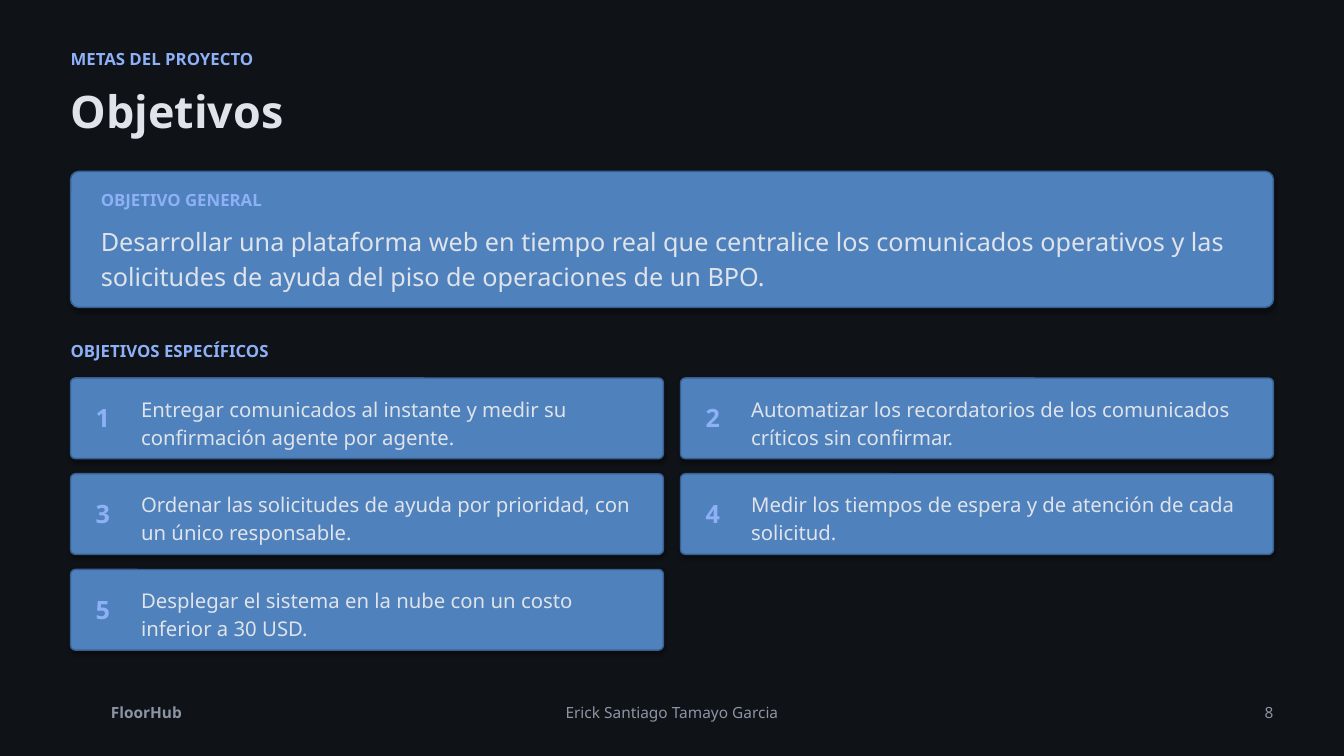
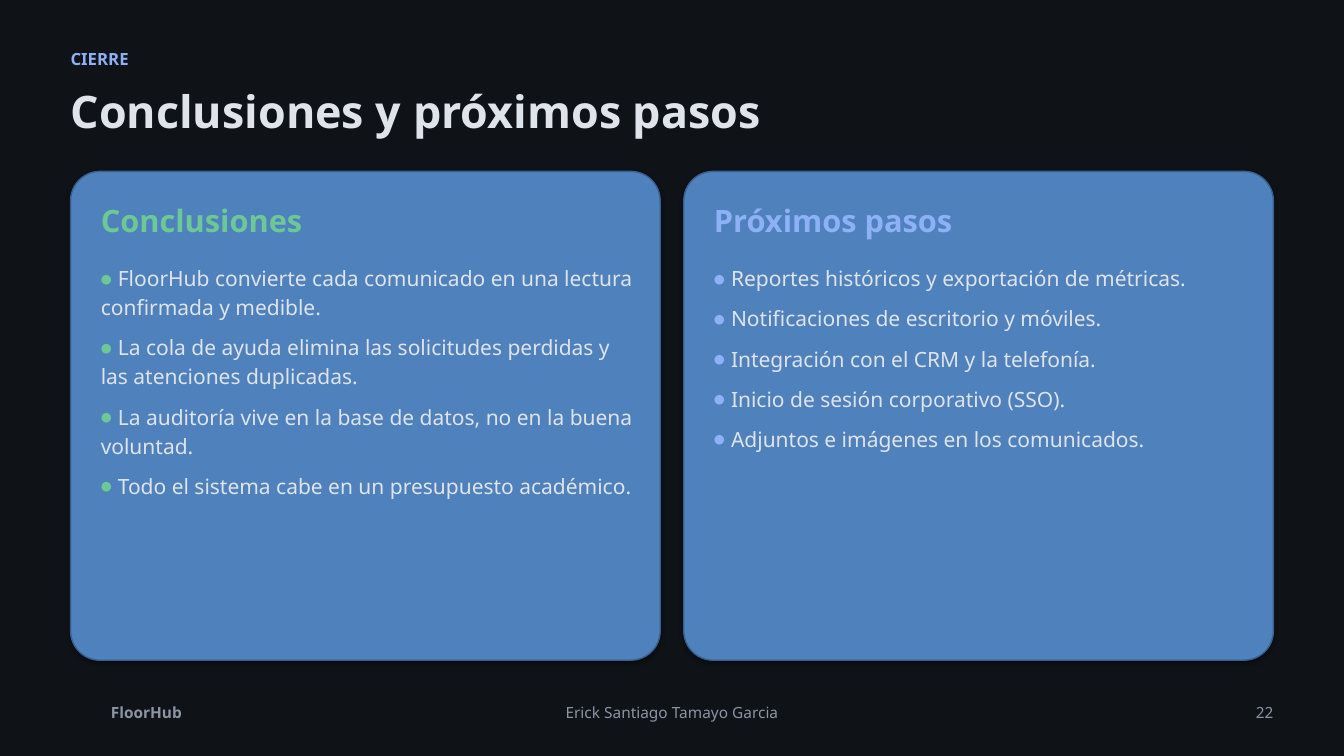
from lxml import etree
from pptx import Presentation
from pptx.dml.color import RGBColor
from pptx.enum.shapes import MSO_SHAPE
from pptx.enum.text import MSO_ANCHOR, MSO_AUTO_SIZE, PP_ALIGN
from pptx.oxml.ns import qn
from pptx.util import Pt

BACKGROUND = RGBColor(0x0F, 0x12, 0x17)
CARD = RGBColor(0x4F, 0x81, 0xBD)
CARD_EDGE = RGBColor(0x37, 0x60, 0x92)
ACCENT = RGBColor(0x8D, 0xB0, 0xF7)
GREEN = RGBColor(0x6C, 0xC9, 0x95)
LIGHT = RGBColor(0xDF, 0xE3, 0xEA)
MUTED = RGBColor(0x8C, 0x95, 0xA4)
FONT = "Noto Sans"

# Lengths in points
WIDTH, HEIGHT = 960, 540
MARGIN = 50.4
CONTENT = WIDTH - 2 * MARGIN
CONTENT_TOP = 122.4
PADDING = 21.6
FOOTER_TOP = 500.4

PROJECT = "FloorHub"
AUTHOR = "Erick Santiago Tamayo Garcia"

OBJECTIVES = {
    "section": "METAS DEL PROYECTO",
    "title": "Objetivos",
    "number": 8,
    "general_label": "OBJETIVO GENERAL",
    "general": "Desarrollar una plataforma web en tiempo real que centralice los "
               "comunicados operativos y las solicitudes de ayuda del piso de "
               "operaciones de un BPO.",
    "specific_label": "OBJETIVOS ESPECÍFICOS",
    "specific": [
        "Entregar comunicados al instante y medir su confirmación agente por agente.",
        "Automatizar los recordatorios de los comunicados críticos sin confirmar.",
        "Ordenar las solicitudes de ayuda por prioridad, con un único responsable.",
        "Medir los tiempos de espera y de atención de cada solicitud.",
        "Desplegar el sistema en la nube con un costo inferior a 30 USD.",
    ],
}

CLOSING = {
    "section": "CIERRE",
    "title": "Conclusiones y próximos pasos",
    "number": 22,
    "panels": [
        ("Conclusiones", GREEN, [
            "FloorHub convierte cada comunicado en una lectura confirmada y medible.",
            "La cola de ayuda elimina las solicitudes perdidas y las atenciones duplicadas.",
            "La auditoría vive en la base de datos, no en la buena voluntad.",
            "Todo el sistema cabe en un presupuesto académico.",
        ]),
        ("Próximos pasos", ACCENT, [
            "Reportes históricos y exportación de métricas.",
            "Notificaciones de escritorio y móviles.",
            "Integración con el CRM y la telefonía.",
            "Inicio de sesión corporativo (SSO).",
            "Adjuntos e imágenes en los comunicados.",
        ]),
    ],
}


def add_bullet(para, color):
    """Give the paragraph a small coloured dot, with the text after a tab stop."""
    properties = para._p.get_or_add_pPr()
    properties.set("marL", "0")
    properties.set("indent", "0")
    bullet_color = etree.SubElement(properties, qn("a:buClr"))
    etree.SubElement(bullet_color, qn("a:srgbClr"), val=str(color))
    etree.SubElement(properties, qn("a:buSzPct"), val="60000")
    etree.SubElement(properties, qn("a:buFont"), typeface=FONT)
    etree.SubElement(properties, qn("a:buChar"), char="●")
    tabs = etree.SubElement(properties, qn("a:tabLst"))
    etree.SubElement(tabs, qn("a:tab"), pos=str(Pt(12.2)), algn="l")


def add_text(page, lines, left, top, width, height, size, color, bold=False,
             align=PP_ALIGN.LEFT, anchor=MSO_ANCHOR.TOP, bullet=None):
    box = page.shapes.add_textbox(Pt(left), Pt(top), Pt(width), Pt(height))
    frame = box.text_frame
    frame.margin_left = frame.margin_top = frame.margin_right = frame.margin_bottom = 0
    frame.word_wrap = True
    frame.auto_size = MSO_AUTO_SIZE.SHAPE_TO_FIT_TEXT
    frame.vertical_anchor = anchor
    for index, line in enumerate(lines):
        para = frame.add_paragraph() if index else frame.paragraphs[0]
        para.alignment = align
        para.line_spacing = 1.15
        if bullet is not None:
            para.space_after = Pt(8)
            add_bullet(para, bullet)
        span = para.add_run()
        span.text = line if bullet is None else "\t" + line
        span.font.name = FONT
        span.font.size = Pt(size)
        span.font.bold = bold
        span.font.color.rgb = color


def add_label(page, text, left, top, width):
    add_text(page, [text], left, top, width, 16.6, 12, ACCENT, bold=True)


def add_card(page, left, top, width, height):
    """Rounded card that keeps the soft shadow of the theme."""
    card = page.shapes.add_shape(MSO_SHAPE.ROUNDED_RECTANGLE,
                                 Pt(left), Pt(top), Pt(width), Pt(height))
    card.adjustments[0] = 0.06
    card.fill.solid()
    card.fill.fore_color.rgb = CARD
    card.line.color.rgb = CARD_EDGE
    card.line.width = Pt(1)


def add_page(deck, content):
    """Add a slide with the shared background, heading and footer."""
    page = deck.slides.add_slide(deck.slide_layouts[6])
    page.background.fill.solid()
    page.background.fill.fore_color.rgb = BACKGROUND
    add_label(page, content["section"], MARGIN, 32.4, 648)
    add_text(page, [content["title"]], MARGIN, 54, CONTENT, 44, 32, LIGHT, bold=True)
    footers = [
        (PROJECT, 79.2, 216, PP_ALIGN.LEFT, True),
        (AUTHOR, 288, 384, PP_ALIGN.CENTER, False),
        (str(content["number"]), 835.2, 74.4, PP_ALIGN.RIGHT, False),
    ]
    for text, left, width, align, bold in footers:
        add_text(page, [text], left, FOOTER_TOP, width, 15.2, 11, MUTED, bold, align)
    return page


def add_objectives(deck):
    page = add_page(deck, OBJECTIVES)
    inside = MARGIN + PADDING
    add_card(page, MARGIN, CONTENT_TOP, CONTENT, 97.2)
    add_label(page, OBJECTIVES["general_label"], inside, 133.2, 216)
    add_text(page, [OBJECTIVES["general"]], inside, 158.4, 820.8, 49.7, 18, LIGHT)
    add_label(page, OBJECTIVES["specific_label"], MARGIN, 241.2, 288)

    columns, column_gap, row_gap = 2, 12.2, 10.8
    card_width = (CONTENT - column_gap) / columns
    card_height = 57.6
    for index, objective in enumerate(OBJECTIVES["specific"]):
        row, column = divmod(index, columns)
        left = MARGIN + column * (card_width + column_gap)
        top = 270 + row * (card_height + row_gap)
        add_card(page, left, top, card_width, card_height)
        add_text(page, [str(index + 1)], left + 18, top + 14.4, 36, 24.8, 18, ACCENT,
                 bold=True)
        add_text(page, [objective], left + 50.4, top + 10.8, 360, 40, 14.5, LIGHT,
                 anchor=MSO_ANCHOR.MIDDLE)


def add_closing(deck):
    page = add_page(deck, CLOSING)
    gap = 16.8
    panel_width = (CONTENT - gap) / 2
    for index, (heading, color, points) in enumerate(CLOSING["panels"]):
        left = MARGIN + index * (panel_width + gap)
        inside = left + PADDING
        add_card(page, left, CONTENT_TOP, panel_width, 349.2)
        add_text(page, [heading], inside, 140.4, 360, 30.4, 22, color, bold=True)
        add_text(page, points, inside, 187.2, 381.6, 169, 15, LIGHT, bullet=color)


def main():
    deck = Presentation()
    deck.slide_width, deck.slide_height = Pt(WIDTH), Pt(HEIGHT)
    add_objectives(deck)
    add_closing(deck)
    deck.save("out.pptx")


if __name__ == "__main__":
    main()
